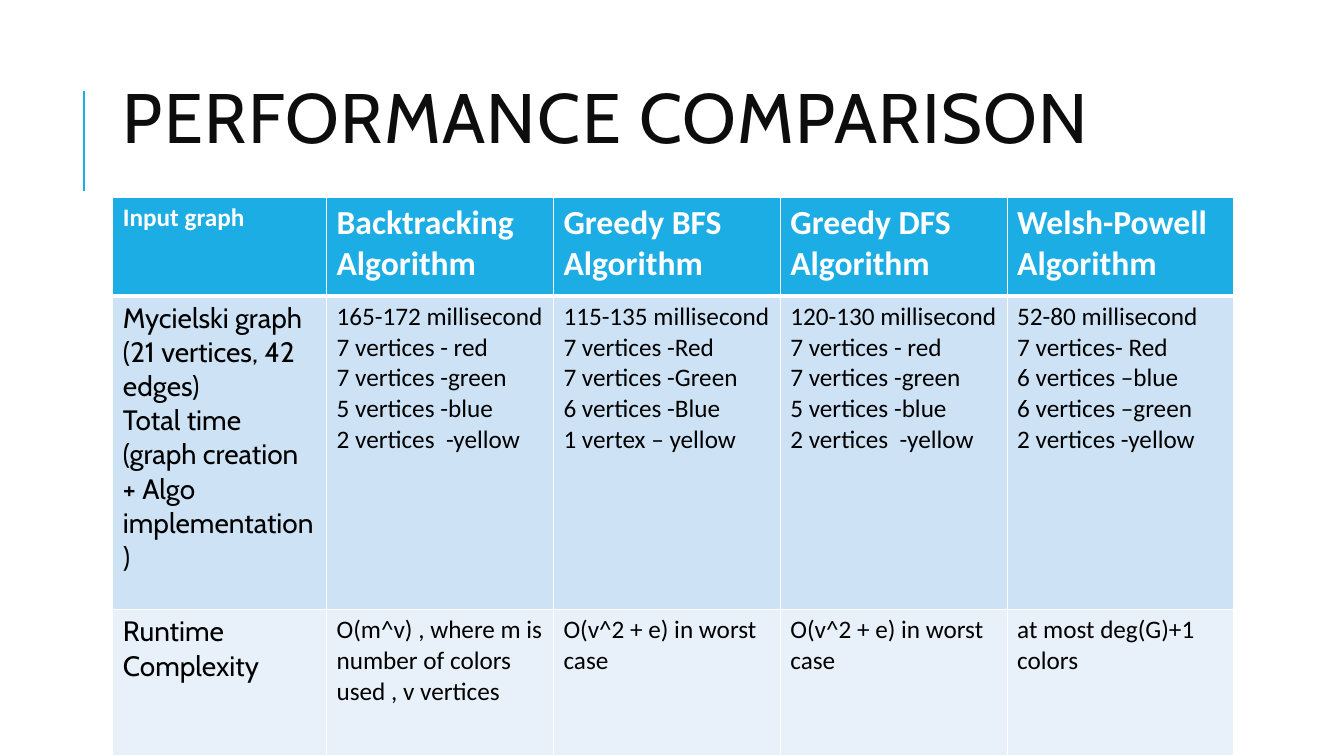
from lxml import etree
from pptx import Presentation
from pptx.dml.color import RGBColor
from pptx.enum.shapes import MSO_CONNECTOR
from pptx.enum.text import MSO_ANCHOR, MSO_AUTO_SIZE, PP_ALIGN
from pptx.oxml.ns import qn
from pptx.util import Inches, Pt

STRAIGHT = MSO_CONNECTOR.STRAIGHT
MIDDLE = MSO_ANCHOR.MIDDLE
NO_FIT = MSO_AUTO_SIZE.NONE
LEFT = PP_ALIGN.LEFT

COLORS = {
    "accent": "1CADE4",
    "title": "0D0D0D",
    "text": "000000",
    "white": "FFFFFF",
    "band_dark": "CDE3F5",
    "band_light": "E8F1FA",
}
HEADING_FONT, BODY_FONT = "Cabin", "Calibri"

# Table content: header, timings, complexity
ROWS = [
    ["Input graph", "Backtracking Algorithm", "Greedy BFS Algorithm",
     "Greedy DFS Algorithm", "Welsh-Powell Algorithm"],
    ["Mycielski graph (21 vertices, 42 edges)\n"
     "Total time (graph creation + Algo implementation)",
     "165-172 millisecond\n7 vertices - red\n7 vertices -green\n"
     "5 vertices -blue\n2 vertices  -yellow",
     "115-135 millisecond\n7 vertices -Red\n7 vertices -Green\n"
     "6 vertices -Blue\n1 vertex – yellow",
     "120-130 millisecond\n7 vertices - red\n7 vertices -green\n"
     "5 vertices -blue\n2 vertices  -yellow",
     "52-80 millisecond\n7 vertices- Red\n6 vertices –blue\n"
     "6 vertices –green\n2 vertices -yellow"],
    ["Runtime Complexity",
     "O(m^v) , where m is number of colors used , v vertices",
     "O(v^2 + e) in worst case", "O(v^2 + e) in worst case",
     "at most deg(G)+1 colors"],
]
ROW_FILLS = ["accent", "band_dark", "band_light"]


def rgb(name):
    return RGBColor.from_string(COLORS[name])


class Deck:
    """Holds the style and current slide; lengths are percent of its size."""

    def __init__(self):
        self.prs = Presentation()
        self.prs.slide_width = Inches(13.33)
        self.prs.slide_height = Inches(7.5)
        self.s = self.prs.slides.add_slide(self.prs.slide_layouts[5])

    def x(self, share):
        return round(self.prs.slide_width * share / 100)

    def y(self, share):
        return round(self.prs.slide_height * share / 100)

    def style(self, p, font, size, color, bold=False):
        p.font.name, p.font.size, p.font.bold = font, Pt(size), bold
        p.font.color.rgb = rgb(color)

    def title(self, text, left, top, width, height):
        sp = self.s.shapes.title
        sp.left, sp.top = self.x(left), self.y(top)
        sp.width, sp.height = self.x(width), self.y(height)
        tf = sp.text_frame
        tf.text = text
        tf.word_wrap, tf.auto_size = True, NO_FIT
        tf.vertical_anchor = MIDDLE
        p = tf.paragraphs[0]
        p.alignment, p.line_spacing = LEFT, 0.8
        self.style(p, HEADING_FONT, 50, "title")
        p.runs[0].font._element.set("spc", "100")

    def rule(self, x, top, bottom):
        line = self.s.shapes.add_connector(
            STRAIGHT, self.x(x), self.y(bottom), self.x(x), self.y(top))
        line.line.color.rgb, line.line.width = rgb("accent"), Pt(1.5)
        etree.SubElement(line._element.spPr, qn("a:effectLst"))

    def borders(self, cell, bottom):
        tc_pr = cell._tc.get_or_add_tcPr()
        for side, width in (("L", 1), ("R", 1), ("T", 1), ("B", bottom)):
            ln = etree.SubElement(tc_pr, qn(f"a:ln{side}"), w=str(Pt(width)))
            fill = etree.SubElement(ln, qn("a:solidFill"))
            etree.SubElement(fill, qn("a:srgbClr"), val=COLORS["white"])

    def cell(self, cell, text, row, col):
        header, first = row == 0, col == 0
        self.borders(cell, 3 if header else 1)
        cell.fill.solid()
        cell.fill.fore_color.rgb = rgb(ROW_FILLS[row])
        cell.text_frame.text = text
        if header:
            look = (BODY_FONT, 18 if first else 24, "white", True)
        elif first:
            look = (HEADING_FONT, 20, "text")
        else:
            look = (BODY_FONT, 18, "text")
        for p in cell.text_frame.paragraphs:
            self.style(p, *look)

    def table(self, rows, left, top, widths, heights):
        table = self.s.shapes.add_table(
            len(rows), len(widths), self.x(left), self.y(top),
            self.x(sum(widths)), self.y(sum(heights))).table
        for column, width in zip(table.columns, widths):
            column.width = self.x(width)
        for r, (texts, height) in enumerate(zip(rows, heights)):
            table.rows[r].height = self.y(height)
            for c, text in enumerate(texts):
                self.cell(table.cell(r, c), text, r, c)


def main():
    deck = Deck()
    # Heading with its accent rule
    deck.rule(6.25, 12, 25.33)
    deck.title("PERFORMANCE COMPARISON", 8.4, 8.53, 79.75, 15.6)
    # Comparison table, down to the slide's lower edge
    top, upper_rows = 26.13, [13.07, 41.47]
    deck.table(ROWS, 8.4, top, [15.9] + [16.88] * 4,
               upper_rows + [100 - top - sum(upper_rows)])
    deck.prs.save("out.pptx")


if __name__ == "__main__":
    main()
